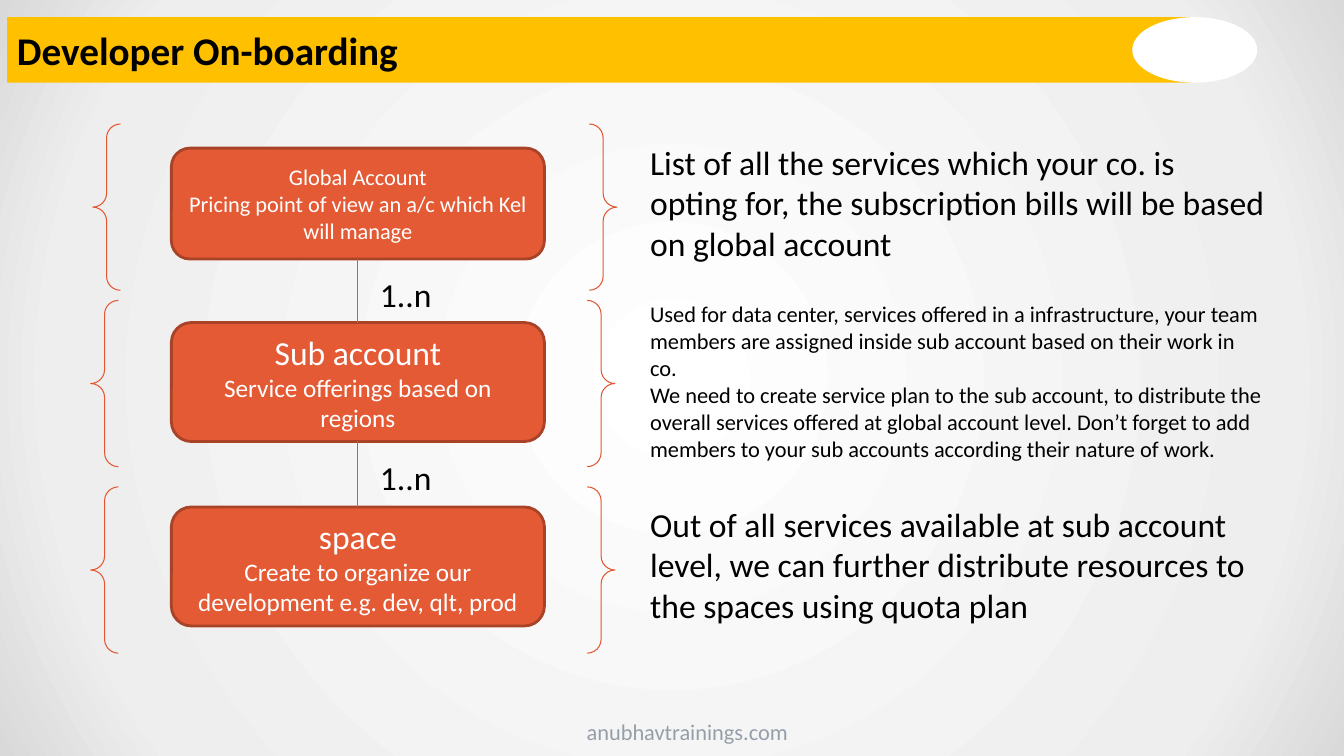
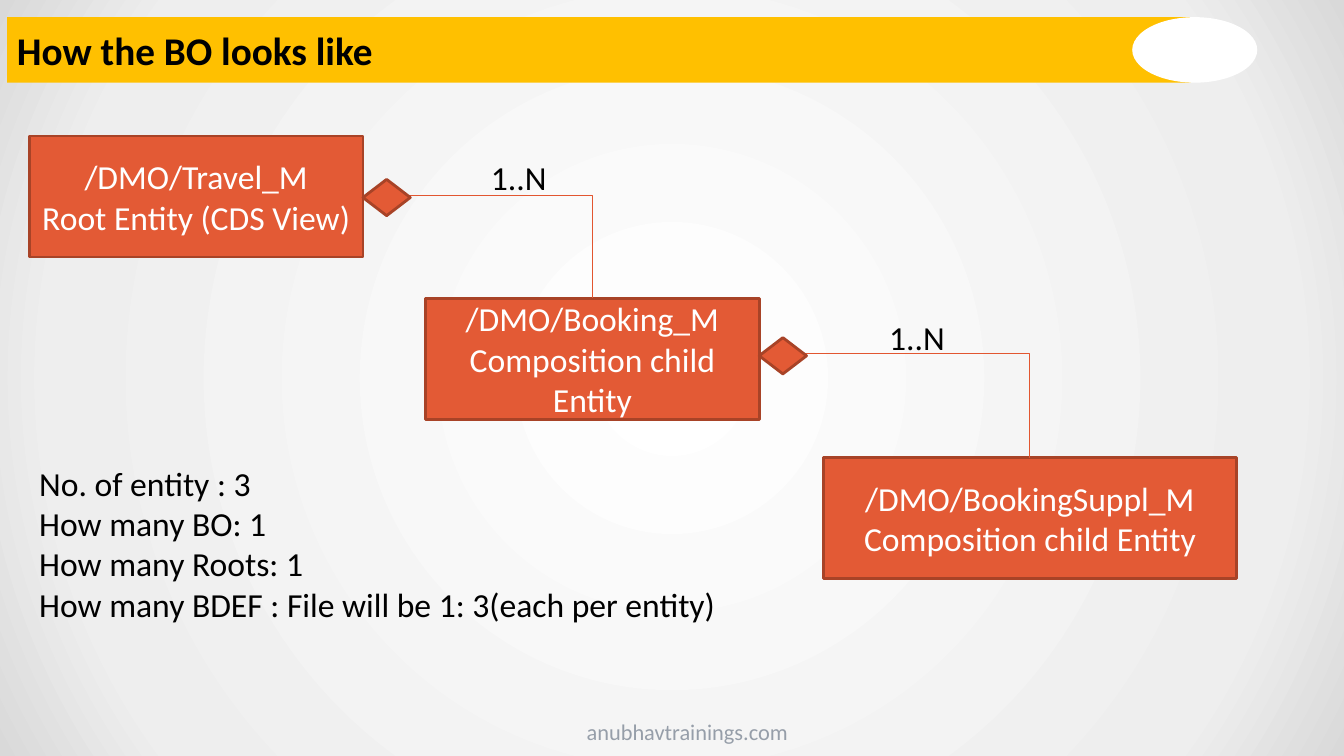
from pptx import Presentation
from pptx.dml.color import RGBColor
from pptx.enum import shapes, text
from pptx.oxml import parse_xml
from pptx.oxml.ns import nsdecls, qn
from pptx.util import Inches, Pt

FONT = "Calibri"
BLACK = RGBColor(0x00, 0x00, 0x00)
WHITE = RGBColor(0xFF, 0xFF, 0xFF)
GOLD = RGBColor(0xFF, 0xC0, 0x00)
GREY = RGBColor(0x96, 0x9E, 0xA9)
ORANGE = RGBColor(0xE3, 0x5A, 0x35)
RUST = RGBColor(0xA8, 0x43, 0x27)
RED = RGBColor(0xE2, 0x56, 0x30)
GLOW = ((0, "FFFFFF"), (81, "EEEEEE"), (100, "D9D9D9"))
KIND = shapes.MSO_SHAPE
LINK = shapes.MSO_CONNECTOR
LEFT, CENTER = text.PP_ALIGN.LEFT, text.PP_ALIGN.CENTER


class Deck:
    def __init__(self):
        self.prs = Presentation()
        self.prs.slide_width = Inches(13.33)
        self.prs.slide_height = Inches(7.5)
        self.slide = None
        self.glow()

    def glow(self):
        """Give the master a round gradient that all slides inherit."""
        master = self.prs.slide_master
        master.background.fill.gradient()
        old = master.element.find(".//" + qn("p:bgPr")).find(qn("a:gradFill"))
        stops = "".join(
            f'<a:gs pos="{pos * 1000}"><a:srgbClr val="{tint}"/></a:gs>'
            for pos, tint in GLOW)
        old.getparent().replace(old, parse_xml(
            f'<a:gradFill {nsdecls("a")} rotWithShape="1"><a:gsLst>{stops}</a:gsLst>'
            '<a:path path="circle"><a:fillToRect l="50000" t="50000" r="50000" '
            'b="50000"/></a:path></a:gradFill>'))

    def start(self, title):
        """Open a slide with its title band and footer."""
        self.slide = self.prs.slides.add_slide(self.prs.slide_layouts[6])
        band = self.shape(KIND.RECTANGLE, 0.07, 0.17, 11.74, 0.65, GOLD)
        self.label(band, [(title, 28)], BLACK, bold=True)
        self.shape(KIND.OVAL, 11.23, 0.17, 1.24, 0.65, WHITE)
        self.note(5.72, 7.08, 3.31, 0.37, ["anubhavtrainings.com"], 16, GREY)

    def shape(self, kind, x, y, w, h, fill=None, line=None, width=2):
        item = self.slide.shapes.add_shape(
            kind, Inches(x), Inches(y), Inches(w), Inches(h))
        item.shadow.inherit = False
        if fill is None:
            item.fill.background()
        else:
            item.fill.solid()
            item.fill.fore_color.rgb = fill
        if line is None:
            item.line.fill.background()
        else:
            item.line.color.rgb = line
            item.line.width = Pt(width)
        return item

    def label(self, item, rows, color, align=LEFT, bold=False):
        """Fill a shape with (words, size) paragraphs."""
        frame = item.text_frame
        frame.word_wrap = True
        for i, (words, size) in enumerate(rows):
            para = frame.add_paragraph() if i else frame.paragraphs[0]
            para.text = words
            para.alignment = align
            font = para.font
            font.name, font.size, font.bold = FONT, Pt(size), bold
            font.color.rgb = color

    def box(self, kind, x, y, w, h, rows):
        item = self.shape(kind, x, y, w, h, ORANGE, RUST)
        self.label(item, rows, WHITE, CENTER)

    def note(self, x, y, w, h, lines, size=24, color=BLACK):
        item = self.slide.shapes.add_textbox(
            Inches(x), Inches(y), Inches(w), Inches(h))
        self.label(item, [(words, size) for words in lines], color)

    def link(self, x1, y1, x2, y2, bent=False):
        kind = LINK.ELBOW if bent else LINK.STRAIGHT
        item = self.slide.shapes.add_connector(
            kind, Inches(x1), Inches(y1), Inches(x2), Inches(y2))
        item.line.color.rgb = RED
        item.line.width = Pt(0.75)
        props = item._element.spPr
        if bent:
            props.find(qn("a:prstGeom")).set("prst", "bentConnector2")
        props.append(parse_xml(f'<a:effectLst {nsdecls("a")}/>'))


def accounts(deck):
    deck.start("Developer On-boarding")
    # box top and height, brace left and top, box rows
    levels = [
        (1.47, 1.1, 0.92, 1.23,
         [("Global Account", 16),
          ("Pricing point of view an a/c which Kel will manage", 16)]),
        (3.2, 1.18, 0.9, 2.98,
         [("Sub account", 24), ("Service offerings based on regions", 18)]),
        (5.03, 1.18, 0.9, 4.83,
         [("space", 24),
          ("Create to organize our development e.g. dev, qlt, prod", 18)]),
    ]
    for top, high, left, brace, rows in levels:
        deck.box(KIND.ROUNDED_RECTANGLE, 1.7, top, 3.7, high, rows)
        deck.shape(KIND.DOUBLE_BRACE, left, brace, 5.2, 1.65, line=RED, width=0.75)
    for upper, lower in zip(levels, levels[1:]):
        end = upper[0] + upper[1]
        deck.link(3.55, end, 3.55, lower[0])
        deck.note(3.67, end + 0.1, 1.18, 0.5, ["1..n"])
    deck.note(6.35, 1.36, 6.3, 1.31, [
        "List of all the services which your co. is opting for, the "
        "subscription bills will be based on global account"])
    deck.note(6.35, 2.93, 6.3, 1.72, [
        "Used for data center, services offered in a infrastructure, your team "
        "members are assigned inside sub account based on their work in co.",
        "We need to create service plan to the sub account, to distribute the "
        "overall services offered at global account level. Don’t forget to add "
        "members to your sub accounts according their nature of work."], 16)
    deck.note(6.35, 4.95, 6.54, 1.31, [
        "Out of all services available at sub account level, we can further "
        "distribute resources to the spaces using quota plan"])


def entities(deck):
    deck.start("How the BO looks like")
    nodes = [
        (0.29, 1.35, 3.31, "/DMO/Travel_M", "Root Entity (CDS View)"),
        (4.22, 2.96, 3.31, "/DMO/Booking_M", "Composition child Entity"),
        (8.17, 4.54, 4.09, "/DMO/BookingSuppl_M", "Composition child Entity"),
    ]
    for x, y, w, name, role in nodes:
        deck.box(KIND.RECTANGLE, x, y, w, 1.2, [(name, 24), (role, 24)])
    # link height, label left and top
    joins = [(1.94, 4.77, 1.51), (3.51, 8.72, 3.09)]
    for (x, _, w, *_), child, (mid, left, top) in zip(nodes, nodes[1:], joins):
        edge = x + w
        deck.link(edge + 0.31, mid, child[0] + child[2] / 2, child[1], bent=True)
        deck.box(KIND.FLOWCHART_DECISION, edge, mid - 0.16, 0.47, 0.36, [])
        deck.note(left, top, 1.57, 0.5, ["1..N"])
    deck.note(0.29, 4.54, 7.01, 1.72, [
        "No. of entity : 3", "How many BO: 1", "How many Roots: 1",
        "How many BDEF : File will be 1: 3(each per entity)"])


def main():
    deck = Deck()
    accounts(deck)
    entities(deck)
    deck.prs.save("out.pptx")


if __name__ == "__main__":
    main()
